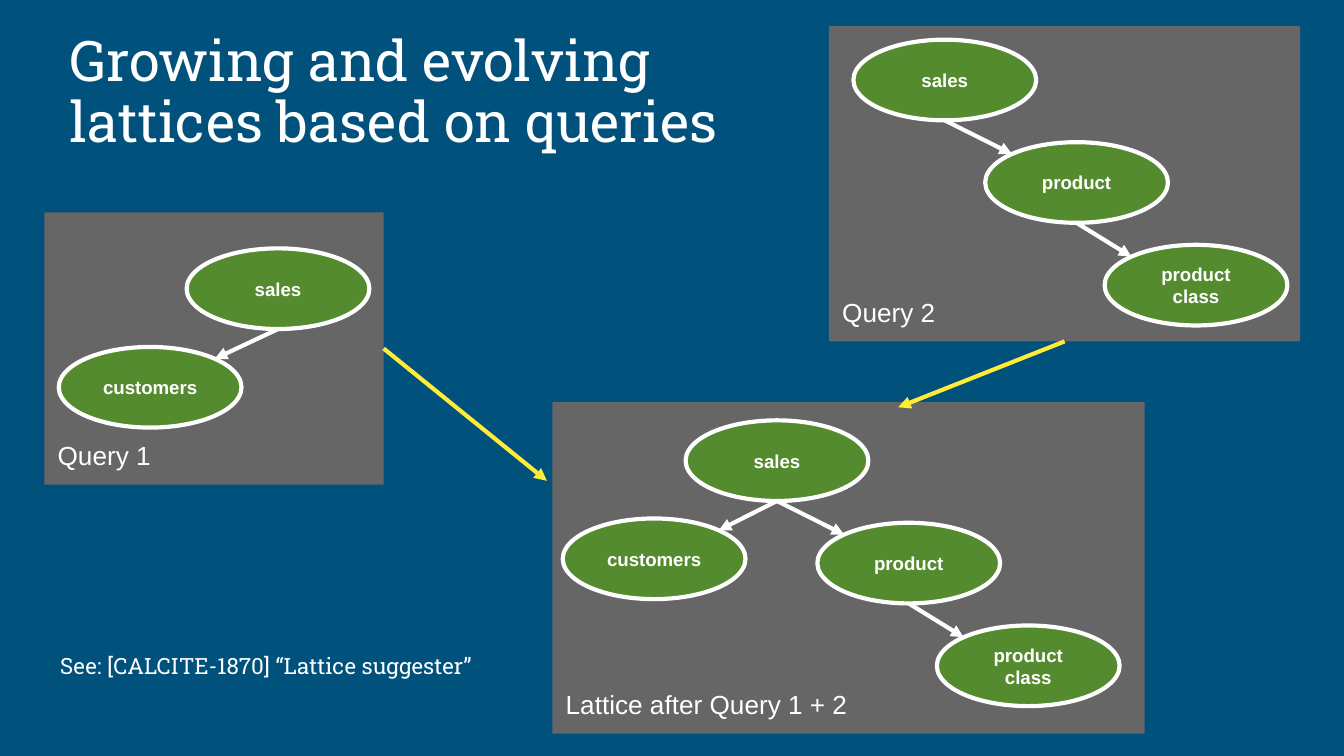
from dataclasses import dataclass
from math import sqrt

from lxml import etree
from pptx import Presentation
from pptx import util as u
from pptx.dml.color import RGBColor
from pptx.enum import shapes, text
from pptx.oxml import ns

NAVY = RGBColor(0x00, 0x51, 0x7C)
GRAY = RGBColor(0x66, 0x66, 0x66)
GREEN = RGBColor(0x55, 0x8B, 0x2F)
WHITE = RGBColor(0xFF, 0xFF, 0xFF)
YELLOW = RGBColor(0xFF, 0xEB, 0x38)

NODE_W, NODE_H = 97.9, 43.2
LINE_W = 2.25
INSET = 7.2
TOP, LEFT, BOTTOM, RIGHT = range(4)


@dataclass
class Node:
    label: str
    left: float
    top: float
    parent: "Node | None" = None


@dataclass
class Panel:
    caption: str
    left: float
    top: float
    width: float
    height: float
    nodes: list[Node]


def product_chain(left: float, top: float) -> list[Node]:
    """Sales, with product and product class stepping down to the right."""
    sales = Node("sales", left, top)
    product = Node("product", left + 70.6, top + 54.9, sales)
    return [sales, product, Node("product class", left + 134.6, top + 109.9, product)]


def with_customers(nodes: list[Node], left: float, top: float) -> list[Node]:
    return nodes + [Node("customers", left, top, nodes[0])]


def write(shape, words: str, size: float, font: str, anchor, bold: bool = False,
          align=text.PP_ALIGN.LEFT, spacing: float = 1.0) -> None:
    frame = shape.text_frame
    frame.word_wrap = True
    frame.vertical_anchor = anchor
    frame.margin_left = frame.margin_right = u.Pt(INSET)
    frame.margin_top = frame.margin_bottom = u.Pt(INSET)
    paragraph = frame.paragraphs[0]
    paragraph.text = words
    paragraph.alignment = align
    paragraph.line_spacing = spacing
    paragraph.font.size = u.Pt(size)
    paragraph.font.name = font
    paragraph.font.bold = bold
    paragraph.font.color.rgb = WHITE


def add_filled(slide, kind, left: float, top: float, width: float, height: float,
               fill: RGBColor):
    shape = slide.shapes.add_shape(kind, u.Pt(left), u.Pt(top), u.Pt(width), u.Pt(height))
    shape.shadow.inherit = False
    shape.fill.solid()
    shape.fill.fore_color.rgb = fill
    return shape


def add_arrow(slide, start: tuple[float, float], end: tuple[float, float],
              color: RGBColor):
    arrow = slide.shapes.add_connector(
        shapes.MSO_CONNECTOR.STRAIGHT, *(u.Pt(value) for value in (*start, *end)))
    arrow.line.color.rgb = color
    arrow.line.width = u.Pt(LINE_W)
    head = etree.SubElement(arrow.line._get_or_add_ln(), ns.qn("a:tailEnd"))
    head.set("type", "triangle")
    etree.SubElement(arrow._element.spPr, ns.qn("a:effectLst"))
    return arrow


def draw_edge(slide, parent: Node, child: Node) -> None:
    """Arrow from the parent's bottom to the child's diagonal point facing it."""
    side = 1 if child.left < parent.left else -1
    start = (parent.left + NODE_W / 2, parent.top + NODE_H)
    end = (child.left + NODE_W / 2 * (1 + side / sqrt(2)),
           child.top + NODE_H / 2 * (1 - 1 / sqrt(2)))
    add_arrow(slide, start, end, WHITE)


def draw_node(slide, node: Node) -> None:
    oval = add_filled(slide, shapes.MSO_SHAPE.OVAL, node.left, node.top,
                      NODE_W, NODE_H, GREEN)
    oval.line.color.rgb = WHITE
    oval.line.width = u.Pt(LINE_W)
    write(oval, node.label, 10, "Arial", text.MSO_ANCHOR.MIDDLE, bold=True,
          align=text.PP_ALIGN.CENTER)


def draw_panel(slide, panel: Panel):
    box = add_filled(slide, shapes.MSO_SHAPE.RECTANGLE, panel.left, panel.top,
                     panel.width, panel.height, GRAY)
    box.line.fill.background()
    write(box, panel.caption, 14, "Arial", text.MSO_ANCHOR.BOTTOM)
    for node in panel.nodes:
        draw_node(slide, node)
    for node in panel.nodes:
        if node.parent:
            draw_edge(slide, node.parent, node)
    return box


def add_text(slide, left: float, top: float, width: float, height: float,
             words: str, size: float, anchor, spacing: float = 1.0) -> None:
    box = slide.shapes.add_textbox(u.Pt(left), u.Pt(top), u.Pt(width), u.Pt(height))
    write(box, words, size, "Roboto Slab", anchor, spacing=spacing)


def main() -> None:
    deck = Presentation()
    deck.slide_width, deck.slide_height = u.Pt(720), u.Pt(405)
    slide = deck.slides.add_slide(deck.slide_layouts[6])
    slide.background.fill.solid()
    slide.background.fill.fore_color.rgb = NAVY

    # Lattices
    lattice = Panel("Lattice after Query 1 + 2", 296, 215.4, 317.3, 177.6,
                    with_customers(product_chain(367.3, 225.2), 301.5, 277.8))
    query_2 = Panel("Query 2", 444.1, 13.9, 252.5, 169, product_chain(457.2, 21.3))
    query_1 = Panel("Query 1", 23.8, 113.8, 181.7, 145.8,
                    with_customers([Node("sales", 100, 133.1)], 31.5, 185.9))
    draw_panel(slide, lattice)
    query_2_box = draw_panel(slide, query_2)
    query_1_box = draw_panel(slide, query_1)

    # Title and reference
    add_text(slide, 30.2, 36, 403.9, 54, "Growing and evolving lattices based on queries",
             30, text.MSO_ANCHOR.BOTTOM, spacing=0.9)
    add_text(slide, 25.2, 333.4, 472.3, 46.8, "See: [CALCITE-1870] “Lattice suggester”",
             12, text.MSO_ANCHOR.MIDDLE)

    # Queries feeding the combined lattice
    add_arrow(slide, (205.5, 186.7), (293, 257.6), YELLOW).begin_connect(query_1_box, RIGHT)
    add_arrow(slide, (570.3, 182.9), (481.2, 218.2), YELLOW).begin_connect(query_2_box, BOTTOM)

    deck.save("out.pptx")


if __name__ == "__main__":
    main()
